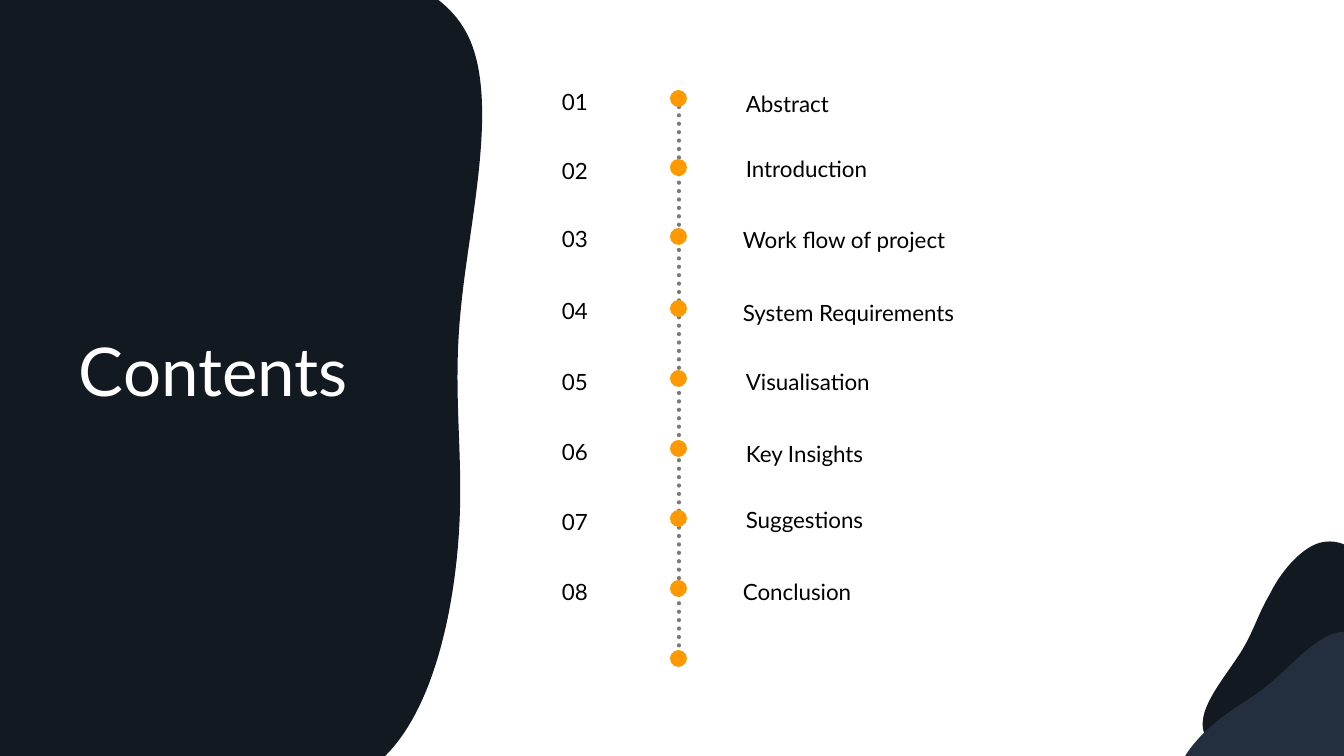
from lxml.etree import SubElement
from pptx import Presentation
from pptx.dml.color import RGBColor
from pptx.enum.dml import MSO_LINE
from pptx.enum.shapes import MSO_CONNECTOR, MSO_SHAPE
from pptx.enum.text import MSO_AUTO_SIZE
from pptx.oxml.ns import qn
from pptx.util import Emu, Pt

NAVY = RGBColor(0x13, 0x19, 0x21)
SLATE = RGBColor(0x23, 0x2F, 0x3E)
ORANGE = RGBColor(0xFF, 0x99, 0x00)
GRAY = RGBColor(0x59, 0x59, 0x59)
BLACK = RGBColor(0x00, 0x00, 0x00)
WHITE = RGBColor(0xFF, 0xFF, 0xFF)
FONT = "Lato"
TITLE = "Contents"

LABELS = [
    ("Abstract", 736, 77),
    ("Introduction", 736, 142),
    ("Work flow of project", 733, 213),
    ("System Requirements", 733, 286),
    ("Visualisation", 736, 355),
    ("Key Insights", 736, 427),
    ("Suggestions", 736, 493),
    ("Conclusion", 733, 565),
]
NUMBER_TOPS = [75, 144, 212, 284, 355, 425, 495, 565]
DOT_TOPS = [90, 159, 228, 300, 370, 440, 510, 580, 650]
DOT_LEFT, DOT_SIZE, RAIL_LEFT = 670, 17, 679
NUMBER_LEFT, NUMBER_WIDTH = 552, 82
LABEL_WIDTH, ENTRY_HEIGHT = 259, 42

PANEL = [
    (293, -35),
    (370, -37, 448, -19, 472, 45),
    (497, 112, 469, 224, 461, 308),
    (452, 394, 464, 453, 459, 532),
    (454, 612, 433, 711, 383, 758),
    (340, 799, 274, 800, 215, 774),
    (198, 765), (198, 775), (0, 775), (0, -15), (183, -15),
    (218, -29, 255, -35, 293, -35),
]
BACK_HILL = [
    (1203, 720),
    (1205, 700, 1227, 674, 1241, 652),
    (1254, 631, 1258, 614, 1270, 594),
    (1280, 573, 1300, 549, 1319, 543),
    (1339, 537, 1359, 549, 1371, 568),
    (1383, 587, 1387, 612, 1384, 638),
    (1381, 663, 1371, 688, 1357, 713),
    (1342, 737, 1324, 759, 1303, 769),
    (1282, 778, 1260, 774, 1240, 765),
    (1219, 755, 1200, 740, 1203, 720),
]
FRONT_HILL = [
    (1336, 633),
    (1315, 638, 1293, 664, 1274, 680),
    (1255, 697, 1239, 704, 1220, 719),
    (1202, 733, 1181, 755, 1178, 774),
    (1175, 794, 1189, 812, 1210, 822),
    (1230, 831, 1256, 832, 1281, 825),
    (1305, 817, 1330, 804, 1351, 786),
    (1373, 768, 1392, 746, 1399, 725),
    (1405, 704, 1397, 681, 1385, 662),
    (1373, 644, 1356, 628, 1336, 633),
]


def px(length):
    return Emu(round(length * 914400 / 100.8))


def paint(shape, color):
    shape.shadow.inherit = False
    shape.fill.solid()
    shape.fill.fore_color.rgb = color
    shape.line.fill.background()


def add_blob(page, outline, color):
    corners = [(px(segment[i]), px(segment[i + 1]))
               for segment in outline for i in range(0, len(segment), 2)]
    builder = page.shapes.build_freeform(*corners[0], scale=1.0)
    builder.add_line_segments(corners[1:], close=True)
    blob = builder.convert_to_shape()
    lines = iter(list(blob._element.iter(qn("a:lnTo"))))
    for segment in outline[1:]:
        first = next(lines)
        if len(segment) == 6:
            curve = first.makeelement(qn("a:cubicBezTo"))
            first.addprevious(curve)
            for line in (first, next(lines), next(lines)):
                curve.append(line[0])
                line.getparent().remove(line)
    paint(blob, color)


def add_text(page, text, left, top, width, height, size, color, spacing=None, wrap=True):
    box = page.shapes.add_textbox(px(left), px(top), px(width), px(height))
    frame = box.text_frame
    frame.text = text
    frame.word_wrap = wrap
    frame.auto_size = MSO_AUTO_SIZE.SHAPE_TO_FIT_TEXT
    para = frame.paragraphs[0]
    para.line_spacing = spacing
    font = para.runs[0].font
    font.name, font.size = FONT, Pt(size)
    font.color.rgb = color


def add_entry(page, text, left, top, width):
    add_text(page, text, left, top, width, ENTRY_HEIGHT, 16, BLACK, spacing=1.3)


def add_timeline(page):
    group = page.shapes.add_group_shape()
    rail = group.shapes.add_connector(
        MSO_CONNECTOR.STRAIGHT, px(RAIL_LEFT), px(DOT_TOPS[0] + DOT_SIZE / 2),
        px(RAIL_LEFT), px(DOT_TOPS[-1] + DOT_SIZE / 2 - 4))
    rail.line.width = Pt(3)
    rail.line.color.rgb = GRAY
    rail.line.dash_style = MSO_LINE.ROUND_DOT
    properties = rail.line._get_or_add_ln()
    properties.set("cap", "rnd")
    SubElement(next(properties.iter(qn("a:srgbClr"))), qn("a:alpha"), val="80000")
    SubElement(rail._element.spPr, qn("a:effectLst"))
    for top in DOT_TOPS:
        dot = group.shapes.add_shape(
            MSO_SHAPE.OVAL, px(DOT_LEFT), px(top), px(DOT_SIZE), px(DOT_SIZE))
        paint(dot, ORANGE)


def main():
    deck = Presentation()
    deck.slide_width, deck.slide_height = px(1344), px(756)
    page = deck.slides.add_slide(deck.slide_layouts[6])
    add_blob(page, PANEL, NAVY)
    add_text(page, TITLE, 69, 324, 297, 92, 48, WHITE, wrap=False)
    add_timeline(page)
    for label, left, top in LABELS:
        add_entry(page, label, left, top, LABEL_WIDTH)
    add_blob(page, BACK_HILL, NAVY)
    add_blob(page, FRONT_HILL, SLATE)
    for number, top in enumerate(NUMBER_TOPS, start=1):
        add_entry(page, f"{number:02}", NUMBER_LEFT, top, NUMBER_WIDTH)
    deck.save("out.pptx")


if __name__ == "__main__":
    main()
